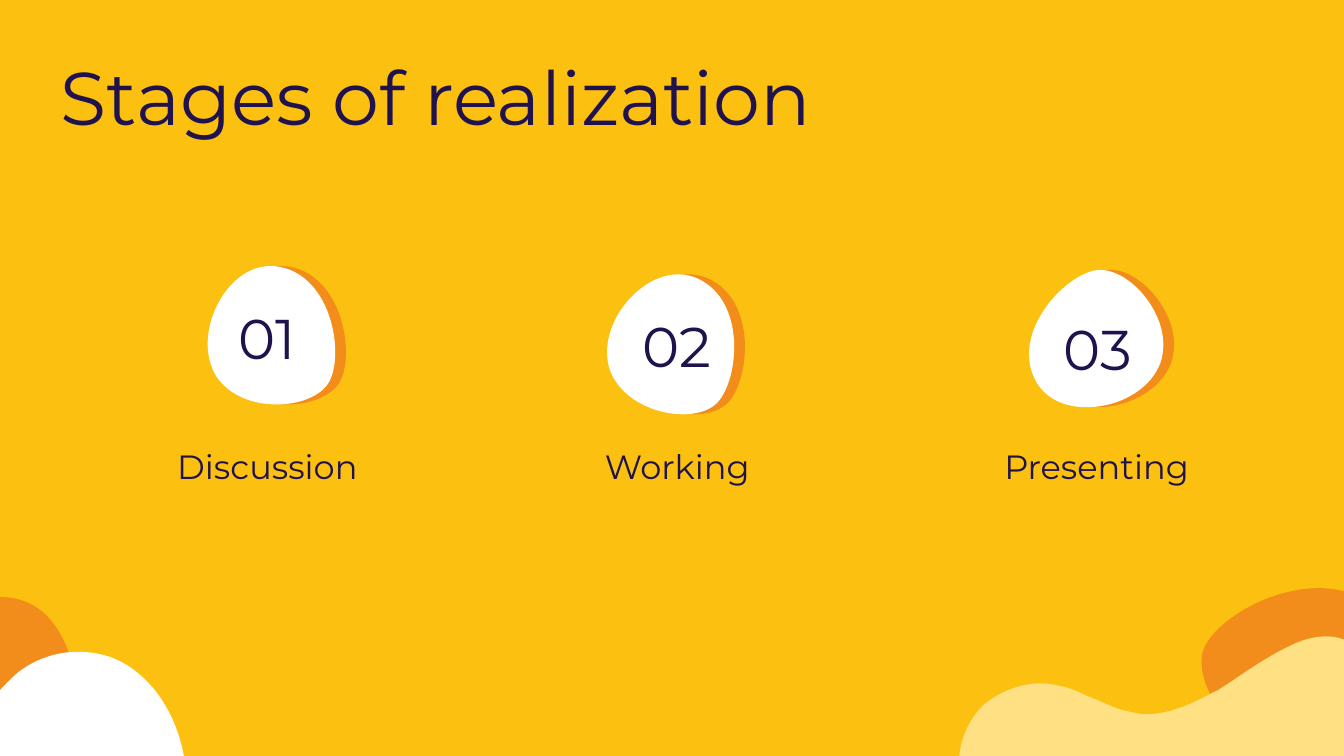
from lxml import etree
from pptx import Presentation
from pptx.dml.color import RGBColor
from pptx.enum import text
from pptx.oxml.ns import qn
from pptx.util import Inches, Pt

COLORS = {"yellow": "FCC010", "orange": "F28D1B", "cream": "FFE082",
          "white": "FFFFFF", "navy": "20124D"}
FONT = "Montserrat"
TITLE = "Stages of realization"
STAGES = [
    {"number": "01", "label": "Discussion", "blob": (1.42, 1.98), "turn": 0,
     "number_at": (1.24, 2.21), "label_left": 1.09},
    {"number": "02", "label": "Working", "blob": (4.41, 2.03), "turn": 14.7,
     "number_at": (4.29, 2.27), "label_left": 4.14},
    {"number": "03", "label": "Presenting", "blob": (7.59, 2.07), "turn": 232.6,
     "number_at": (7.42, 2.29), "label_left": 7.26},
]
LABEL_TOP = 3.22
BLOB_SHIFT = 0.08

# Each contour is a start point followed by Bezier triples.
BLOB = [[(0.59, 0), (0.26, 0), (0, 0.51), (0.19, 0.82),
         (0.29, 0.97), (0.47, 1.03), (0.64, 1.03),
         (0.82, 1.03), (0.99, 0.96), (1.04, 0.84),
         (1.14, 0.61), (1.03, 0.04), (0.62, 0),
         (0.61, 0), (0.6, 0), (0.59, 0)]]
RIGHT_PEBBLE = [[(0.86, 0), (0.37, 0), (0, 0.58), (0.28, 0.94),
                 (0.42, 1.1), (0.68, 1.18), (0.93, 1.18),
                 (1.2, 1.18), (1.46, 1.09), (1.52, 0.96),
                 (1.66, 0.7), (1.5, 0.04), (0.89, 0),
                 (0.88, 0), (0.87, 0), (0.86, 0)]]
LEFT_PEBBLE = [[(0.57, 0), (0.25, 0), (0, 0.65), (0.18, 1.03),
                (0.28, 1.22), (0.45, 1.29), (0.61, 1.29),
                (0.79, 1.29), (0.96, 1.2), (1.01, 1.06),
                (1.1, 0.77), (0.99, 0.04), (0.59, 0),
                (0.58, 0), (0.58, 0), (0.57, 0)]]
WAVE_ENDS = [
    [(7.75, 5.09), (7.59, 5.09), (7.44, 5.15), (7.32, 5.25),
     (7.21, 5.36), (7.15, 5.5), (7.14, 5.65),
     (7.14, 5.65), (7.83, 5.65), (7.83, 5.65),
     (7.88, 5.47), (7.96, 5.31), (8.08, 5.18),
     (8.02, 5.15), (7.95, 5.12), (7.89, 5.11),
     (7.84, 5.1), (7.8, 5.09), (7.75, 5.09)],
    [(9.87, 4.74), (9.77, 4.74), (9.68, 4.77), (9.6, 4.81),
     (9.41, 4.9), (9.25, 5.02), (9.08, 5.13),
     (9.13, 5.19), (9.19, 5.26), (9.26, 5.3),
     (9.38, 5.37), (9.54, 5.35), (9.69, 5.36),
     (9.84, 5.36), (10.01, 5.42), (10.05, 5.56),
     (10.06, 5.59), (10.06, 5.62), (10.06, 5.65),
     (10.06, 5.65), (10.28, 5.65), (10.28, 5.65),
     (10.29, 5.44), (10.28, 5.22), (10.21, 5.02),
     (10.18, 4.93), (10.12, 4.83), (10.03, 4.78),
     (9.98, 4.75), (9.92, 4.74), (9.87, 4.74)],
]
WAVE_MIDDLE = [[(9.08, 5.13), (9.07, 5.14), (9.05, 5.15), (9.04, 5.15),
                (8.88, 5.24), (8.7, 5.32), (8.53, 5.32),
                (8.49, 5.32), (8.45, 5.31), (8.4, 5.3),
                (8.29, 5.28), (8.19, 5.22), (8.08, 5.18),
                (7.96, 5.31), (7.88, 5.47), (7.83, 5.65),
                (7.83, 5.65), (10.06, 5.65), (10.06, 5.65),
                (10.06, 5.62), (10.06, 5.59), (10.05, 5.56),
                (10.01, 5.42), (9.84, 5.36), (9.69, 5.36),
                (9.54, 5.35), (9.38, 5.37), (9.26, 5.3),
                (9.19, 5.26), (9.13, 5.19), (9.08, 5.13)]]
HILL = [[(0.58, 4.85), (0.73, 4.85), (0.87, 4.89), (0.99, 4.98),
         (1.2, 5.13), (1.35, 5.41), (1.38, 5.71),
         (1.38, 5.71), (-1.12, 5.71), (-1.12, 5.71),
         (-1.11, 5.66), (-1.09, 5.62), (-1.06, 5.59),
         (-0.97, 5.49), (-0.83, 5.46), (-0.71, 5.46),
         (-0.59, 5.46), (-0.46, 5.47), (-0.34, 5.42),
         (-0.15, 5.35), (-0.03, 5.14), (0.14, 5),
         (0.27, 4.9), (0.43, 4.85), (0.58, 4.85)]]
SCENERY = [
    (RIGHT_PEBBLE, (8.89, 4.38), "orange", 157.2, False),
    (WAVE_ENDS, (0, 0), "cream", 0, True),
    (WAVE_MIDDLE, (0, 0), "cream", 0, True),
    (LEFT_PEBBLE, (-0.42, 4.41), "orange", 157.2, False),
    (HILL, (0, 0), "white", 0, False),
]


def rgb(name):
    return RGBColor.from_string(COLORS[name])


def add_curve(slide, contours, origin, color, turn=0, outlined=False):
    scaled = [[(Inches(x), Inches(y)) for x, y in contour] for contour in contours]
    builder = slide.shapes.build_freeform(*scaled[0][0], scale=1.0)
    for index, (start, *points) in enumerate(scaled):
        if index:
            builder.move_to(*start)
        builder.add_line_segments(points, close=True)
    shape = builder.convert_to_shape(Inches(origin[0]), Inches(origin[1]))
    lines = list(shape.element.iter(qn("a:lnTo")))
    for first in range(0, len(lines), 3):
        curve = etree.Element(qn("a:cubicBezTo"))
        lines[first].addprevious(curve)
        for line in lines[first:first + 3]:
            curve.append(line[0])
            line.getparent().remove(line)
    shape.rotation = turn
    shape.shadow.inherit = False
    shape.fill.solid()
    shape.fill.fore_color.rgb = rgb(color)
    if outlined:
        shape.line.color.rgb = rgb(color)
        shape.line.width = Pt(0.75)
    else:
        shape.line.fill.background()


def add_text(slide, words, box, size, align=text.PP_ALIGN.CENTER,
             anchor=text.MSO_ANCHOR.TOP, space_after=0):
    frame = slide.shapes.add_textbox(*map(Inches, box)).text_frame
    frame.word_wrap = True
    frame.vertical_anchor = anchor
    frame.margin_left = frame.margin_right = Inches(0.1)
    frame.margin_top = frame.margin_bottom = Inches(0.1)
    paragraph = frame.paragraphs[0]
    paragraph.alignment = align
    paragraph.space_after = Pt(space_after)
    run = paragraph.add_run()
    run.text = words
    run.font.name = FONT
    run.font.size = Pt(size)
    run.font.color.rgb = rgb("navy")


presentation = Presentation()
presentation.slide_width = Inches(10)
presentation.slide_height = Inches(10 * 9 / 16)
slide = presentation.slides.add_slide(presentation.slide_layouts[6])
slide.background.fill.solid()
slide.background.fill.fore_color.rgb = rgb("yellow")

for scenery in SCENERY:
    add_curve(slide, *scenery)
add_text(slide, TITLE, (0.35, 0.28, 8, 0.82), 40, align=text.PP_ALIGN.LEFT)
for stage in STAGES:
    left, top = stage["blob"]
    add_curve(slide, BLOB, (left + BLOB_SHIFT, top), "orange", stage["turn"])
    add_curve(slide, BLOB, (left, top), "white", stage["turn"])
    add_text(slide, stage["label"], (stage["label_left"], LABEL_TOP, 1.8, 0.5), 18,
             space_after=16)
    add_text(slide, stage["number"], (*stage["number_at"], 1.5, 0.6), 30,
             anchor=text.MSO_ANCHOR.MIDDLE)
presentation.save("out.pptx")
